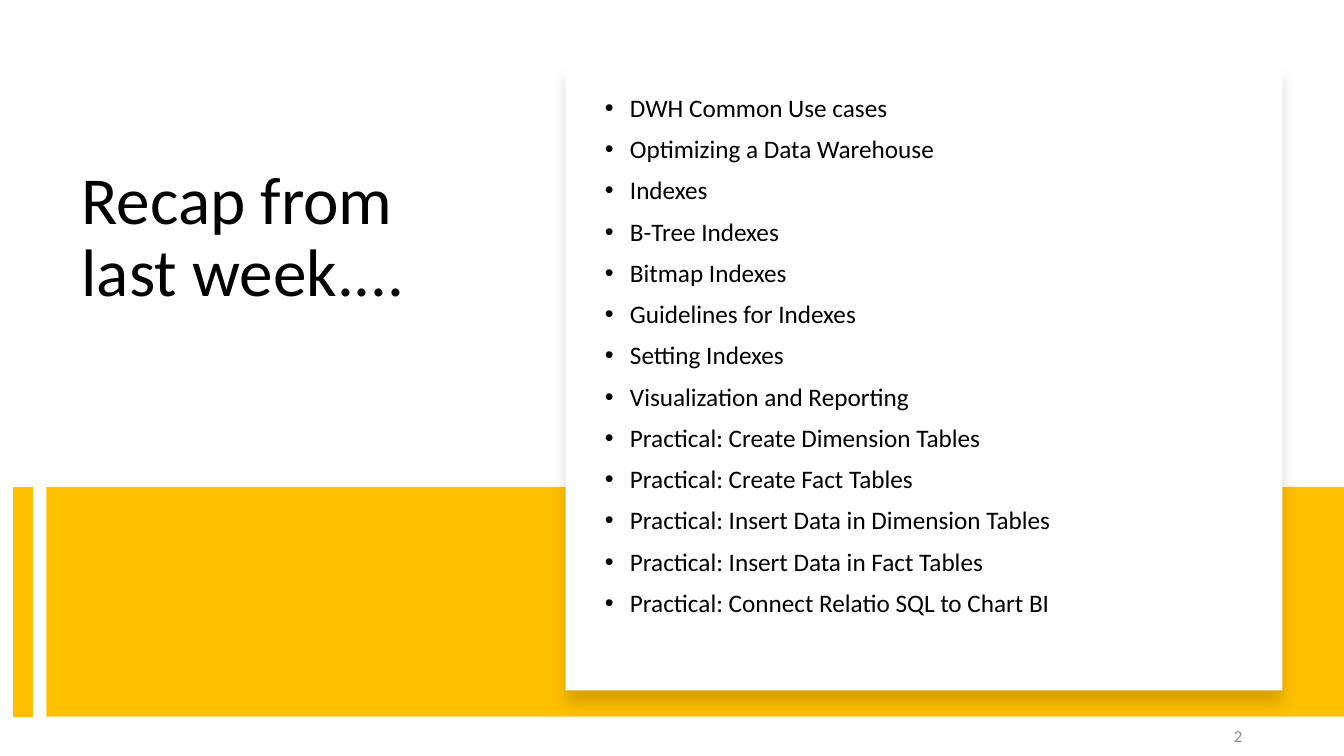
from lxml import etree
from pptx import Presentation
from pptx import util as u
from pptx.dml.color import RGBColor
from pptx.enum import shapes, text
from pptx.oxml import parse_xml
from pptx.oxml.ns import nsdecls, qn

COLORS = {"white": "FFFFFF", "black": "000000", "amber": "FFC000", "gray": "8C8C8C"}
FONT = "Calibri"
TOPICS = [
    "DWH Common Use cases",
    "Optimizing a Data Warehouse",
    "Indexes",
    "B-Tree Indexes",
    "Bitmap Indexes",
    "Guidelines for Indexes",
    "Setting Indexes",
    "Visualization and Reporting",
    "Practical: Create Dimension Tables",
    "Practical: Create Fact Tables",
    "Practical: Insert Data in Dimension Tables",
    "Practical: Insert Data in Fact Tables",
    "Practical: Connect Relatio SQL to Chart BI",
]


def color(name):
    return RGBColor.from_string(COLORS[name])


def inches(values):
    return [u.Inches(value) for value in values]


class SlideBuilder:
    def __init__(self, slide):
        self.slide = slide

    def background(self, fill):
        self.slide.background.fill.solid()
        self.slide.background.fill.fore_color.rgb = color(fill)

    def rectangle(self, box, fill):
        shape = self.slide.shapes.add_shape(
            shapes.MSO_SHAPE.RECTANGLE, *inches(box))
        shape.shadow.inherit = False
        shape.fill.solid()
        shape.fill.fore_color.rgb = color(fill)
        shape.line.fill.background()
        return shape

    def card(self, box, fill):
        """Add a rectangle with a soft shadow below it."""
        properties = self.rectangle(box, fill)._element.spPr
        properties.remove(properties.find(qn("a:effectLst")))
        properties.append(parse_xml(
            f'<a:effectLst {nsdecls("a")}>'
            f'<a:outerShdw blurRad="{u.Pt(11)}" dist="{u.Pt(10)}" dir="5400000" '
            'algn="t" rotWithShape="0">'
            f'<a:srgbClr val="{COLORS["black"]}"><a:alpha val="15000"/></a:srgbClr>'
            '</a:outerShdw></a:effectLst>'))

    def line(self, start, end, stroke, width):
        connector = self.slide.shapes.add_connector(
            shapes.MSO_CONNECTOR.STRAIGHT, *inches(start + end))
        connector.line.color.rgb = color(stroke)
        connector.line.width = u.Pt(width)
        etree.SubElement(connector._element.spPr, qn("a:effectLst"))

    def text(self, box, lines, size, fill="black",
             anchor=text.MSO_ANCHOR.TOP, bullet=False, **paragraph_format):
        frame = self.slide.shapes.add_textbox(*inches(box)).text_frame
        frame.word_wrap = True
        frame.vertical_anchor = anchor
        for index, wording in enumerate(lines):
            paragraph = frame.add_paragraph() if index else frame.paragraphs[0]
            for name, value in paragraph_format.items():
                setattr(paragraph, name, value)
            if bullet:
                self.bullet(paragraph)
            run = paragraph.add_run()
            run.text = wording
            for name, value in {"name": FONT, "size": u.Pt(size)}.items():
                setattr(run.font, name, value)
            run.font.color.rgb = color(fill)

    def bullet(self, paragraph):
        properties = paragraph._p.get_or_add_pPr()
        indent = u.Inches(0.25)
        properties.set("marL", str(indent))
        properties.set("indent", str(-indent))
        etree.SubElement(properties, qn("a:buFont"), typeface="Arial")
        etree.SubElement(properties, qn("a:buChar"), char="•")


def main():
    presentation = Presentation()
    presentation.slide_width = u.Inches(13.33)
    presentation.slide_height = u.Inches(7.5)
    builder = SlideBuilder(
        presentation.slides.add_slide(presentation.slide_layouts[6]))

    builder.background("white")
    builder.text((0.71, 1.6, 4.15, 2.94), ["Recap from last week...."], 48,
                 line_spacing=0.9)

    band_top, band_height = 4.83, 2.28
    builder.rectangle((0.46, band_top, 12.87, band_height), "amber")
    builder.line((0.23, band_top), (0.23, band_top + band_height), "amber", 14)

    builder.card((5.61, 0.64, 7.11, 6.21), "white")
    builder.text((5.9, 0.9, 6.06, 5.28), TOPICS, 18, bullet=True,
                 line_spacing=0.9, space_before=u.Pt(10))
    builder.text((9.42, 7.1, 3, 0.4), ["2"], 12, "gray", text.MSO_ANCHOR.MIDDLE,
                 alignment=text.PP_ALIGN.RIGHT, space_after=u.Pt(6))
    presentation.save("out.pptx")


if __name__ == "__main__":
    main()
